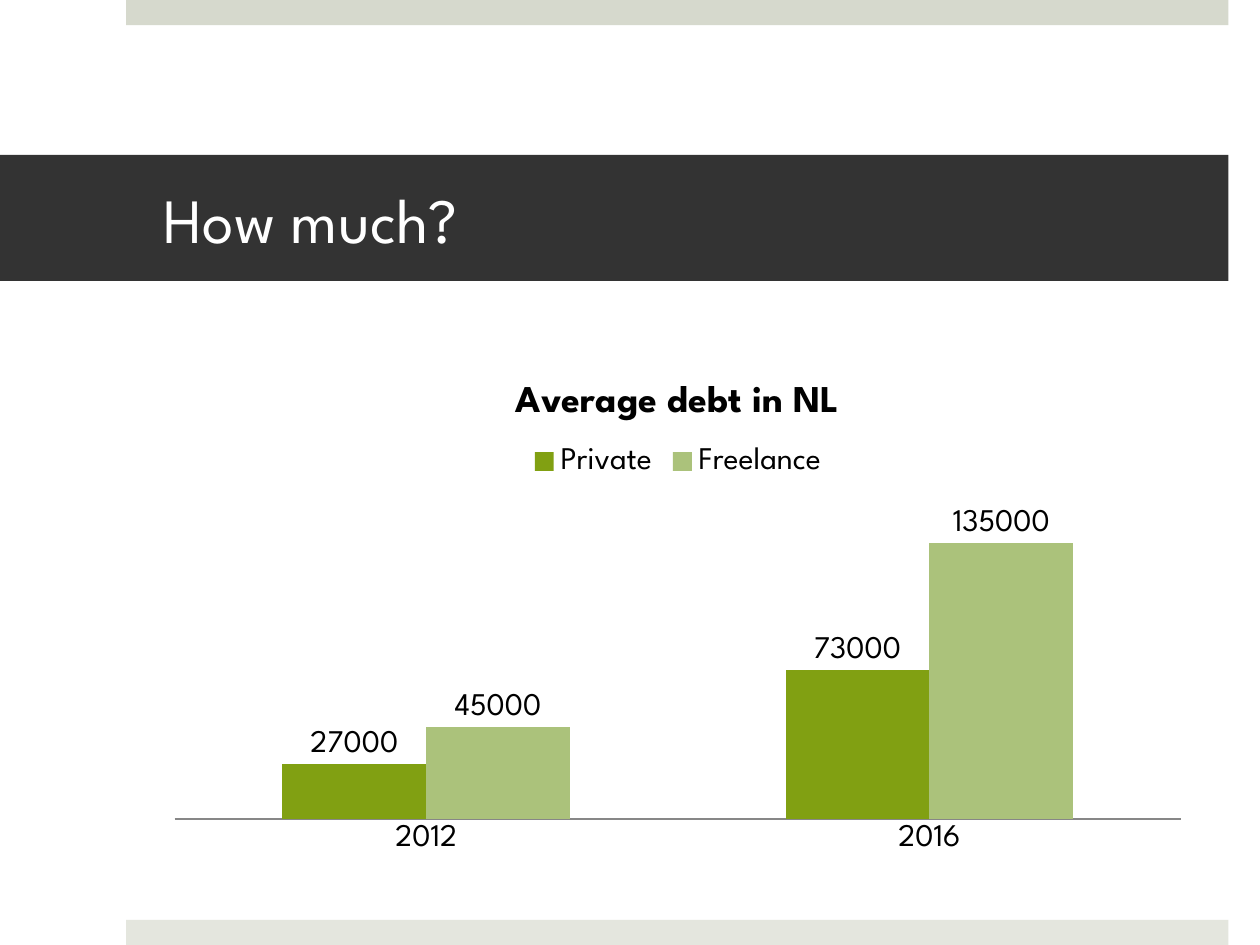
from pptx import Presentation
from pptx.chart.data import CategoryChartData
from pptx.dml.color import RGBColor
from pptx.enum.chart import XL_CHART_TYPE, XL_LABEL_POSITION, XL_LEGEND_POSITION, XL_TICK_MARK
from pptx.enum.shapes import MSO_SHAPE
from pptx.enum.text import MSO_ANCHOR, PP_ALIGN
from pptx.util import Inches, Pt


def color(hex_code):
    return RGBColor.from_string(hex_code)


def set_fill(target, hex_code):
    target.fill.solid()
    target.fill.fore_color.rgb = color(hex_code)


def set_font(font, size, hex_code, name, bold=False):
    font.size = Pt(size)
    font.color.rgb = color(hex_code)
    font.name = name
    font.bold = bold


def write(tf, text, align=PP_ALIGN.LEFT, **style):
    p = tf.paragraphs[0]
    p.alignment = align
    r = p.add_run()
    r.text = text
    set_font(r.font, **style)


class SlideBuilder:
    """Holds the style and the current slide."""

    font = "League Spartan"
    dark, light, text = "333333", "FFFFFF", "000000"

    def __init__(self, prs):
        self.s = prs.slides.add_slide(prs.slide_layouts[5])
        set_fill(self.s.background, self.light)

    def bar(self, x, y, w, h, fill):
        sp = self.s.shapes.add_shape(
            MSO_SHAPE.RECTANGLE, Inches(x), Inches(y), Inches(w), Inches(h))
        sp.shadow.inherit = False
        set_fill(sp, fill)
        sp.line.fill.background()

    def title(self, text, x, y, w, h):
        sp = self.s.shapes.title
        sp.left, sp.top, sp.width, sp.height = map(Inches, (x, y, w, h))
        set_fill(sp, self.dark)
        tf = sp.text_frame
        tf.word_wrap = True
        tf.vertical_anchor = MSO_ANCHOR.MIDDLE
        tf.margin_left, tf.margin_right = Inches(1.3), Inches(0.3)
        tf.margin_top = tf.margin_bottom = Inches(0.05)
        write(tf, text, size=36, hex_code=self.light, name=self.font)

    def column_chart(self, title, categories, series, x, y, w, h):
        """Add clustered columns; series holds (name, values, colour)."""
        data = CategoryChartData()
        data.categories = categories
        for name, values, _ in series:
            data.add_series(name, values)
        chart = self.s.shapes.add_chart(
            XL_CHART_TYPE.COLUMN_CLUSTERED,
            Inches(x), Inches(y), Inches(w), Inches(h), data).chart
        set_font(chart.font, 18, self.text, self.font)
        chart.has_title = True
        write(chart.chart_title.text_frame, title, PP_ALIGN.CENTER,
              size=21.6, hex_code=self.text, name=self.font, bold=True)
        chart.chart_title.include_in_layout = False
        chart.has_legend = True
        chart.legend.position = XL_LEGEND_POSITION.TOP
        chart.legend.include_in_layout = False

        chart.value_axis.visible = False
        chart.value_axis.has_major_gridlines = False
        chart.value_axis.minimum_scale = 0
        chart.value_axis.maximum_scale = 160000
        axis = chart.category_axis
        axis.major_tick_mark = XL_TICK_MARK.NONE
        axis.format.line.color.rgb = color("878787")
        axis.format.line.width = Pt(0.75)

        plot = chart.plots[0]
        plot.gap_width, plot.overlap = 150, 0
        plot.vary_by_categories = False
        plot.has_data_labels = True
        plot.data_labels.show_value = True
        plot.data_labels.position = XL_LABEL_POSITION.OUTSIDE_END
        for columns, (_, _, fill) in zip(plot.series, series):
            set_fill(columns.format, fill)


def main():
    prs = Presentation()
    prs.slide_width, prs.slide_height = Inches(10), Inches(7.5)
    slide = SlideBuilder(prs)
    slide.bar(1, 0, 8.75, 0.2, "D6D9CD")
    slide.bar(1, 7.3, 8.75, 0.2, "E4E6DE")
    slide.title("How much?", 0, 1.23, 9.75, 1)
    slide.column_chart(
        "Average debt in NL", ["2012", "2016"],
        [("Private", (27000, 73000), "81A012"),
         ("Freelance", (45000, 135000), "ABC27B")],
        1.22, 2.84, 8.32, 4.01)
    prs.save("out.pptx")


if __name__ == "__main__":
    main()
